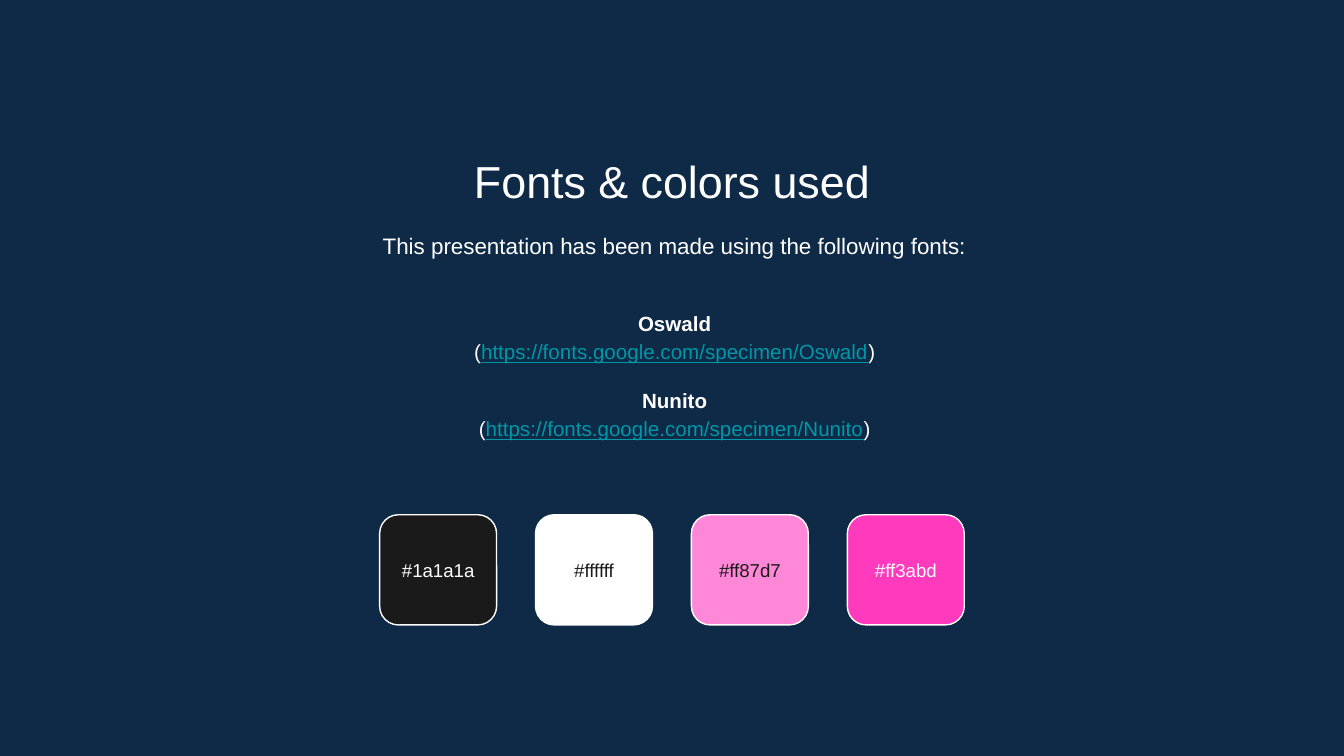
from pptx import Presentation
from pptx.dml.color import RGBColor
from pptx.enum.shapes import MSO_SHAPE
from pptx.enum.text import MSO_ANCHOR, PP_ALIGN
from pptx.util import Inches, Pt

ROUNDED = MSO_SHAPE.ROUNDED_RECTANGLE
CENTER = PP_ALIGN.CENTER
TOP, MIDDLE = MSO_ANCHOR.TOP, MSO_ANCHOR.MIDDLE

COLORS = {
    "navy": "0E2A47",
    "white": "FFFFFF",
    "black": "1A1A1A",
    "light_pink": "FF87D7",
    "pink": "FF3ABD",
    "link": "0097A7",
}
COLUMNS, ROWS = 100, 56.25


class SlideStyle:
    """Draws styled elements on the current slide, placed by grid columns and rows."""

    font = "Arial"
    inset = Inches(0.1)

    def __init__(self, deck):
        self.deck = deck
        self.page = deck.slides.add_slide(deck.slide_layouts[5])
        fill = self.page.background.fill
        fill.solid()
        fill.fore_color.rgb = self.color("navy")

    def color(self, name):
        return RGBColor.from_string(COLORS[name])

    def place(self, column, row, width, height):
        cell_width = self.deck.slide_width / COLUMNS
        cell_height = self.deck.slide_height / ROWS
        return (round(column * cell_width), round(row * cell_height),
                round(width * cell_width), round(height * cell_height))

    def frame(self, box, anchor):
        frame = box.text_frame
        frame.word_wrap = True
        frame.vertical_anchor = anchor
        frame.margin_left = frame.margin_right = self.inset
        frame.margin_top = frame.margin_bottom = self.inset
        return frame

    def span(self, para, text, size, color="white", bold=False, underline=False):
        span = para.add_run()
        span.text = text
        span.font.name = self.font
        span.font.size = Pt(size)
        span.font.bold = bold
        span.font.underline = underline
        span.font.color.rgb = self.color(color)

    def title(self, text, area):
        box = self.page.shapes.title
        box.left, box.top, box.width, box.height = self.place(*area)
        para = self.frame(box, TOP).paragraphs[0]
        para.alignment = CENTER
        self.span(para, text, 24)

    def text(self, area, size, lines, anchor=MIDDLE, spacing=1.15):
        """Each line is a pair: the space before it and its list of (text, style) runs."""
        box = self.page.shapes.add_textbox(*self.place(*area))
        frame = self.frame(box, anchor)
        for index, (space, runs) in enumerate(lines):
            para = frame.add_paragraph() if index else frame.paragraphs[0]
            para.alignment = CENTER
            para.line_spacing = spacing
            para.space_before = Pt(space)
            for text, style in runs:
                self.span(para, text, size, **style)

    def swatch(self, column, row, fill, label_color):
        width, height, label_height = 8.7, 8.2, 4.8
        box = self.page.shapes.add_shape(ROUNDED, *self.place(column, row, width, height))
        box.shadow.inherit = False
        box.adjustments[0] = 0.17
        box.fill.solid()
        box.fill.fore_color.rgb = self.color(fill)
        box.line.color.rgb = self.color("white")
        box.line.width = Pt(0.75)
        label = "#" + COLORS[fill].lower()
        label_row = row + (height - label_height) / 2
        self.text((column, label_row, width, label_height), 10,
                  [(0, [(label, {"color": label_color})])], spacing=1.0)


def main():
    deck = Presentation()
    deck.slide_width, deck.slide_height = Pt(720), Pt(405)
    slide = SlideStyle(deck)

    slide.title("Fonts & colors used", (11.45, 10.45, 77.1, 5.3))
    intro = "This presentation has been made using the following fonts:"
    slide.text((11.65, 15.95, 77.1, 4.8), 12, [(0, [(intro, {})])], anchor=TOP)

    lines = []
    for name in ("Oswald", "Nunito"):
        address = f"https://fonts.google.com/specimen/{name}"
        lines.append((11 if lines else 0, [(name, {"bold": True})]))
        lines.append((0, [("(", {}),
                          (address, {"color": "link", "underline": True}),
                          (")", {})]))
    slide.text((11.65, 21, 77.1, 13.7), 11, lines)

    swatches = [("black", "white"), ("white", "black"),
                ("light_pink", "black"), ("pink", "white")]
    for index, (fill, label_color) in enumerate(swatches):
        slide.swatch(28.25 + 11.6 * index, 38.3, fill, label_color)

    deck.save("out.pptx")


if __name__ == "__main__":
    main()
